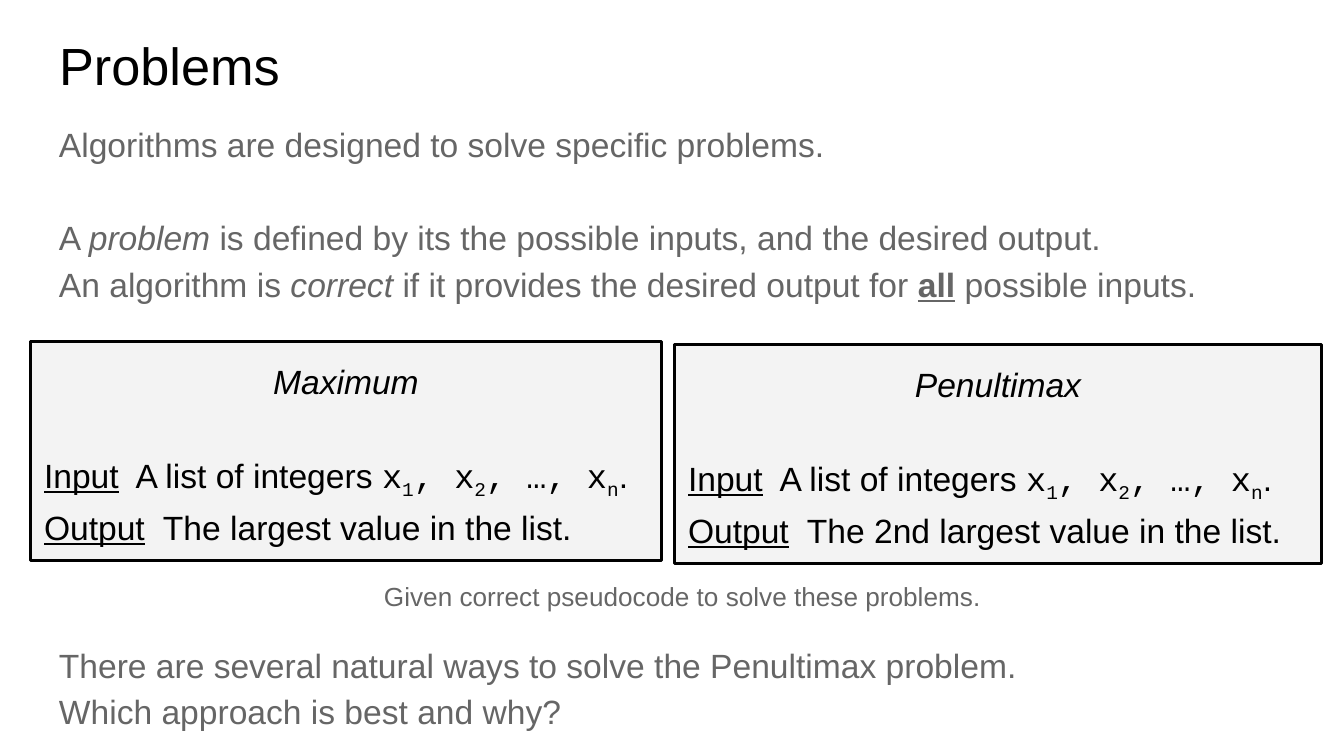
import pptx
import pptx.util
import pptx.dml.color
import pptx.enum.shapes
import pptx.enum.text

Pt = pptx.util.Pt
RGBColor = pptx.dml.color.RGBColor
ALIGN = pptx.enum.text.PP_ALIGN
ANCHOR = pptx.enum.text.MSO_ANCHOR

BLACK = RGBColor(0x00, 0x00, 0x00)
GREY = RGBColor(0x66, 0x66, 0x66)
PALE = RGBColor(0xF3, 0xF3, 0xF3)
LEFT, WIDTH = 24.5, 671


def add_run(p, text, size=18, color=GREY, font="Arial", bold=False,
            italic=False, underline=False, sub=False):
    r = p.add_run()
    r.text = text
    f = r.font
    f.name, f.size, f.color.rgb = font, Pt(size), color
    f.bold, f.italic, f.underline = bold, italic, underline
    if sub:
        r._r.get_or_add_rPr().set("baseline", "-25000")


class Deck:
    inset = 7.2
    spacing = 1.15
    gap = 25

    def __init__(self, width, height):
        self.prs = pptx.Presentation()
        self.prs.slide_width, self.prs.slide_height = Pt(width), Pt(height)
        self.s = self.prs.slides.add_slide(self.prs.slide_layouts[5])

    def frame(self, sp, anchor=ANCHOR.TOP):
        tf = sp.text_frame
        tf.word_wrap = True
        tf.auto_size = pptx.enum.text.MSO_AUTO_SIZE.NONE
        tf.vertical_anchor = anchor
        tf.margin_left = tf.margin_right = Pt(self.inset)
        tf.margin_top = tf.margin_bottom = Pt(self.inset)
        return tf

    def paragraph(self, tf, runs, align=ALIGN.LEFT, before=0, **style):
        p = tf.paragraphs[0]
        if p.runs:
            p = tf.add_paragraph()
        p.alignment = align
        p.line_spacing = self.spacing
        p.space_before = Pt(before)
        for text, form in runs:
            add_run(p, text, **{**style, **form})

    def title(self, text, x, y, w, h):
        sp = self.s.shapes.title
        sp.left, sp.top, sp.width, sp.height = Pt(x), Pt(y), Pt(w), Pt(h)
        p = self.frame(sp).paragraphs[0]
        p.alignment = ALIGN.LEFT
        add_run(p, text, size=28, color=BLACK)

    def text(self, x, y, w, h):
        return self.frame(self.s.shapes.add_textbox(Pt(x), Pt(y), Pt(w), Pt(h)))

    def problem(self, name, output, x, y, w, h):
        sp = self.s.shapes.add_shape(
            pptx.enum.shapes.MSO_SHAPE.RECTANGLE, Pt(x), Pt(y), Pt(w), Pt(h))
        sp.shadow.inherit = False
        sp.fill.solid()
        sp.fill.fore_color.rgb = PALE
        sp.line.color.rgb = BLACK
        sp.line.width = Pt(1.5)
        tf = self.frame(sp, ANCHOR.MIDDLE)
        code = {"font": "Courier New"}
        low = {**code, "sub": True}
        label = {"underline": True}
        self.paragraph(tf, [(name, {"italic": True})], ALIGN.CENTER, color=BLACK)
        self.paragraph(tf, [
            ("Input", label), ("  A list of integers ", {}),
            ("x", code), ("1", low), (", x", code), ("2", low),
            (", …, x", code), ("n", low), (".", {}),
        ], before=self.gap, color=BLACK)
        self.paragraph(tf, [("Output", label), (f"  {output}", {})], color=BLACK)


def main():
    deck = Deck(720, 405)
    italic = {"italic": True}
    deck.title("Problems", LEFT, 10.8, WIDTH, 45.4)

    tf = deck.text(LEFT, 56.2, WIDTH, 112.3)
    deck.paragraph(tf, [("Algorithms are designed to solve specific problems.", {})])
    deck.paragraph(tf, [
        ("A ", {}), ("problem", italic),
        (" is defined by its the possible inputs, and the desired output.", {}),
    ], before=deck.gap)
    deck.paragraph(tf, [
        ("An algorithm is ", {}), ("correct", italic),
        (" if it provides the desired output for ", {}),
        ("all", {"bold": True, "underline": True}), (" possible inputs.", {}),
    ])

    deck.problem("Maximum", "The largest value in the list.",
                 16.5, 182.8, 337.7, 117.4)
    deck.problem("Penultimax", "The 2nd largest value in the list.",
                 361.5, 184.5, 346.3, 117.4)

    tf = deck.text(LEFT, 334.8, WIDTH, 65.5)
    for line in ("There are several natural ways to solve the Penultimax problem.",
                 "Which approach is best and why?"):
        deck.paragraph(tf, [(line, {})])

    tf = deck.text(30.2, 301, WIDTH, 28)
    deck.paragraph(tf, [("Given correct pseudocode to solve these problems.", {})],
                   ALIGN.CENTER, size=14)

    deck.prs.save("out.pptx")


if __name__ == "__main__":
    main()
